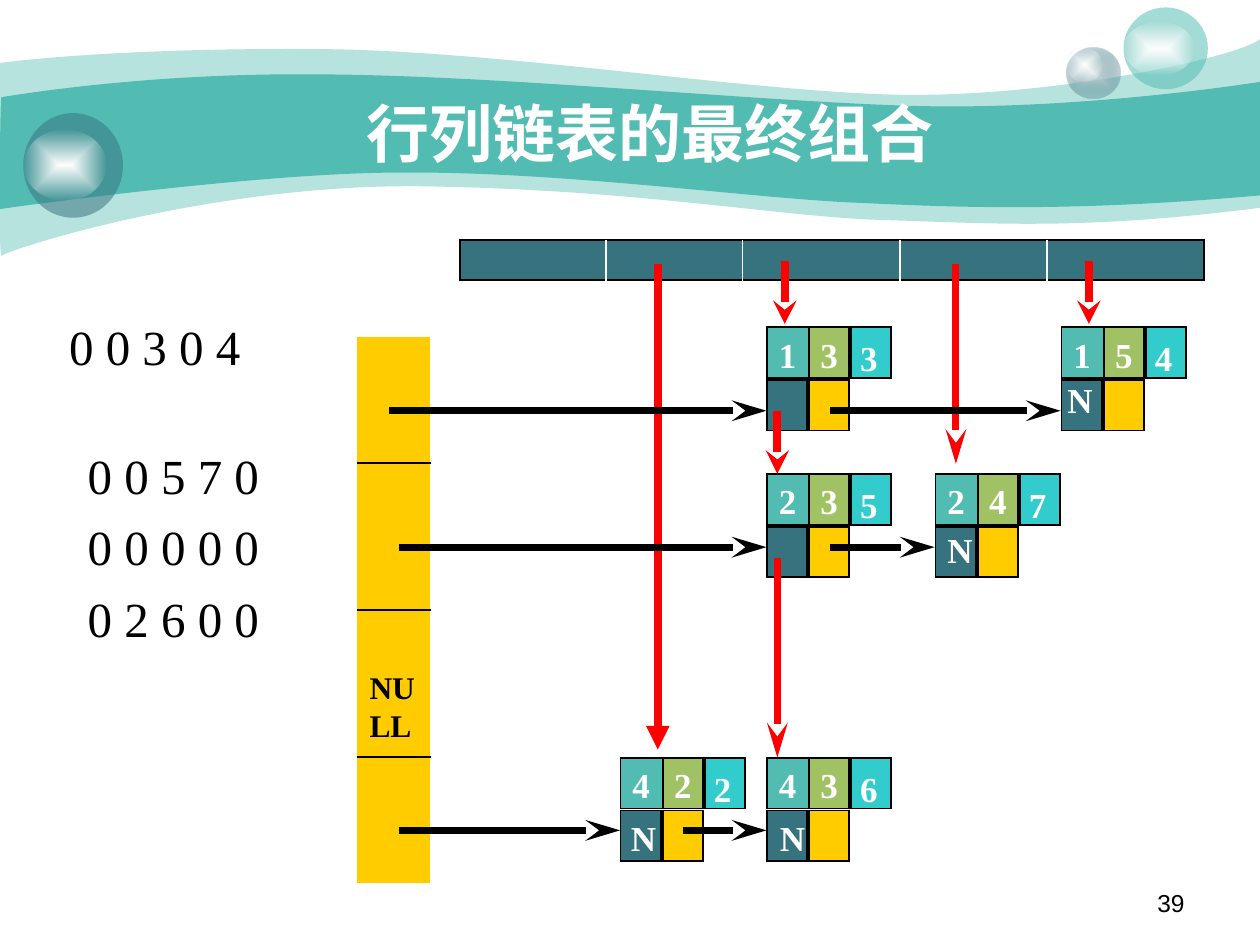
"""Build the slide on the final combination of row and column linked lists."""
from lxml import etree
from pptx import Presentation
from pptx import util as u
from pptx.dml.color import RGBColor
from pptx.enum import shapes, text
from pptx.oxml.ns import qn

TEAL = RGBColor(0x52, 0xBC, 0xB2)
SLATE = RGBColor(0x37, 0x73, 0x7F)
MIST = RGBColor(0xCC, 0xDB, 0xDE)
GREEN = RGBColor(0xA0, 0xC2, 0x64)
CYAN = RGBColor(0x33, 0xCC, 0xCC)
GOLD = RGBColor(0xFF, 0xCC, 0x00)
RED = RGBColor(0xFF, 0x00, 0x00)
BLACK = RGBColor(0, 0, 0)
WHITE = RGBColor(0xFF, 0xFF, 0xFF)

deck = Presentation()
deck.slide_width, deck.slide_height = u.Cm(25.4), u.Cm(19.05)
page = deck.slides.add_slide(deck.slide_layouts[6])


def write(words, left, top, width, height, size=20, color=WHITE, bold=True,
          font="Times New Roman", align=text.PP_ALIGN.LEFT, wrap=True,
          anchor=text.MSO_ANCHOR.TOP):
    box = page.shapes.add_textbox(u.Cm(left), u.Cm(top), u.Cm(width), u.Cm(height))
    frame = box.text_frame
    frame.word_wrap, frame.vertical_anchor = wrap, anchor
    frame.text = words
    for para in frame.paragraphs:
        para.alignment = align
        para.font.size, para.font.bold, para.font.name = u.Pt(size), bold, font
        para.font.color.rgb = color
    return frame


def draw_line(x1, y1, x2, y2, color, width=1, head=None, length="med"):
    line = page.shapes.add_connector(
        shapes.MSO_CONNECTOR.STRAIGHT, u.Cm(x1), u.Cm(y1), u.Cm(x2), u.Cm(y2))
    line.line.color.rgb, line.line.width = color, u.Pt(width)
    properties = line._element.spPr
    if head:
        etree.SubElement(properties.find(qn("a:ln")), qn("a:tailEnd"),
                         type=head, w="med", len=length)
    etree.SubElement(properties, qn("a:effectLst"))


bands = [
    (41, (0, 1.27), [
        [(0.61, 1.19), (2.72, 0.97), (6.27, 0.99)],
        [(9.8, 0.99), (14.6, 1.78), (17.75, 1.9)],
        [(20.88, 2.03), (24.89, 1.19), (25.4, 0.79)],
        [(25.4, 4.19)],
        [(21.79, 4.65), (19.99, 4.5), (17.91, 4.44)],
        [(15.8, 4.39), (13.08, 3.84), (8.71, 3.76)],
        [(4.37, 3.66), (0.1, 5.05), (0.03, 5.16)],
        [(-0.03, 5.28), (0, 1.9), (0, 1.27)]]),
    (100, (0.03, 1.96), [
        [(0.05, 1.96), (2.79, 1.47), (6.3, 1.5)],
        [(9.8, 1.5), (15.11, 2.03), (18.24, 2.13)],
        [(21.36, 2.24), (24.79, 1.75), (25.4, 1.65)],
        [(25.4, 3.94)],
        [(21.67, 4.27), (19.43, 4.19), (17.32, 4.09)],
        [(15.21, 4.01), (11.35, 3.45), (8.05, 3.48)],
        [(5.16, 3.48), (-0.05, 4.22), (-0.03, 4.22)],
        [(0, 4.22), (0, 1.96), (0.03, 1.96)]]),
]
for opacity, origin, segments in bands:
    builder = page.shapes.build_freeform(*map(u.Cm, origin))
    builder.add_line_segments([tuple(map(u.Cm, point)) for part in segments for point in part])
    band = builder.convert_to_shape()
    band.shadow.inherit = False
    band.fill.solid()
    band.fill.fore_color.rgb = TEAL
    band.line.fill.background()
    shade = next(band._element.spPr.iter(qn("a:srgbClr")))
    etree.SubElement(shade, qn("a:alpha"), val=str(opacity * 1000))
    strokes = iter(list(band._element.spPr.iter(qn("a:lnTo"))))
    for part in segments:
        group = [next(strokes) for point in part]
        if len(group) == 3:
            curve = etree.Element(qn("a:cubicBezTo"))
            group[0].addprevious(curve)
            for stroke in group:
                curve.append(stroke[0])
                stroke.getparent().remove(stroke)

glow = [(WHITE, 100), (WHITE, 0)]
orbs = [
    ((21.51, 0.97, 1.07, 1.02), [(MIST, 100), (SLATE, 31)]),
    ((21.51, 0.97, 0.71, 0.69), glow),
    ((22.65, 0.15, 1.7, 1.65), [(TEAL, 53)]),
    ((22.65, 0.43, 1.42, 1.09), glow),
    ((0.47, 2.28, 2.01, 2.11), [(SLATE, 53)]),
    ((0.47, 2.62, 1.68, 1.42), glow),
]
for place, stops in orbs:
    orb = page.shapes.add_shape(shapes.MSO_SHAPE.OVAL, *map(u.Cm, place))
    orb.shadow.inherit = False
    orb.line.fill.background()
    if len(stops) == 1:
        orb.fill.solid()
        orb.fill.fore_color.rgb = stops[0][0]
    else:
        orb.fill.gradient()
        for stop, (color, opacity) in zip(orb.fill.gradient_stops, stops):
            stop.color.rgb = color
        linear = next(orb._element.spPr.iter(qn("a:lin")))
        radial = etree.Element(qn("a:path"), {"path": "rect"})
        etree.SubElement(radial, qn("a:fillToRect"), l="50000", t="50000", r="50000", b="50000")
        linear.getparent().replace(linear, radial)
    for shade, (color, opacity) in zip(orb._element.spPr.iter(qn("a:srgbClr")), stops):
        etree.SubElement(shade, qn("a:alpha"), val=str(opacity * 1000))

write("行列链表的最终组合", 1.9, 1.75, 22.4, 1.85, size=36,
      align=text.PP_ALIGN.CENTER, anchor=text.MSO_ANCHOR.MIDDLE)
write("39", 18.21, 17.78, 5.92, 0.89, size=14, color=BLACK, bold=False,
      font="Arial", align=text.PP_ALIGN.RIGHT)

matrix = write("0 0 3 0 4\n0 0 5 7 0\n0 0 0 0 0\n0 2 6 0 0", 0.68, 6.26, 4.88, 7,
               size=28, color=BLACK, bold=False, align=text.PP_ALIGN.CENTER)
for para, gap in zip(matrix.paragraphs[1:], (39.8, 7.3, 7.3)):
    para.space_before = u.Pt(gap)
    para._p.get_or_add_pPr().set("marL", str(u.Cm(0.75)))

nodes = [
    (15.46, 6.6, "133", None),
    (21.4, 6.6, "154", (21.27, 7.5)),
    (15.46, 9.56, "235", None),
    (18.86, 9.56, "247", (18.85, 10.52)),
    (12.51, 15.28, "422", (12.47, 16.33)),
    (15.46, 15.28, "436", (15.47, 16.33)),
]
cells = [(0, 0, 1.24, TEAL), (0.85, 0, 0.81, GREEN), (0, 1.06, 0.81, SLATE),
         (0.85, 1.06, 0.81, GOLD), (1.7, 0, 0.81, CYAN)]
blocks = [(left + dx, top + dy, width, 1.02, color, BLACK)
          for left, top, digits, null in nodes for dx, dy, width, color in cells]
blocks += [(9.27, 4.84, 15.01, 0.81, SLATE, BLACK), (7.21, 6.81, 1.45, 10.97, GOLD, GOLD)]
for *place, color, edge in blocks:
    block = page.shapes.add_shape(shapes.MSO_SHAPE.RECTANGLE, *map(u.Cm, place))
    block.shadow.inherit = False
    block.fill.solid()
    block.fill.fore_color.rgb = color
    block.line.color.rgb, block.line.width = edge, u.Pt(1)
    etree.SubElement(block._element.spPr.find(qn("a:ln")), qn("a:miter"), lim="800000")

for left, top, digits, null in nodes:
    for digit, dx, dy in zip(digits, (0, 0.84, 1.64), (0, 0, 0.07)):
        write(digit, left + dx - 0.01, top + dy - 0.01, 0.86, 1.09, wrap=False)
    if null:
        write("N", *null, 1.02, 1.09, wrap=False)
write("NULL", 7.2, 13.35, 1.7, 1.78, size=18, color=BLACK)

for x in (12.22, 14.97, 18.14, 21.11):
    draw_line(x, 4.83, x, 5.66, WHITE)
for y in (9.33, 12.29, 15.26):
    draw_line(7.19, y, 8.68, y, BLACK)

draw_line(13.26, 5.33, 13.26, 15.11, RED, 4.5, "triangle")
for x, y in ((15.82, 5.26), (21.95, 5.26), (15.67, 8.28)):
    draw_line(x, y, x, y + 1.27, RED, 4.5, "stealth")
for x, y1, y2 in ((15.67, 11.25, 15.27), (19.27, 5.33, 9.35)):
    draw_line(x, y1, x, y2, RED, 4, "stealth", "lg")

row_links = [(7.84, 15.45, 8.28), (8.05, 15.45, 11.03), (8.05, 12.5, 16.74),
             (16.73, 21.38, 8.28), (16.73, 18.84, 11.03), (13.76, 15.45, 16.74)]
for x1, x2, y in row_links:
    draw_line(x1, y, x2, y, BLACK, 4, "stealth", "lg")

deck.save("out.pptx")
